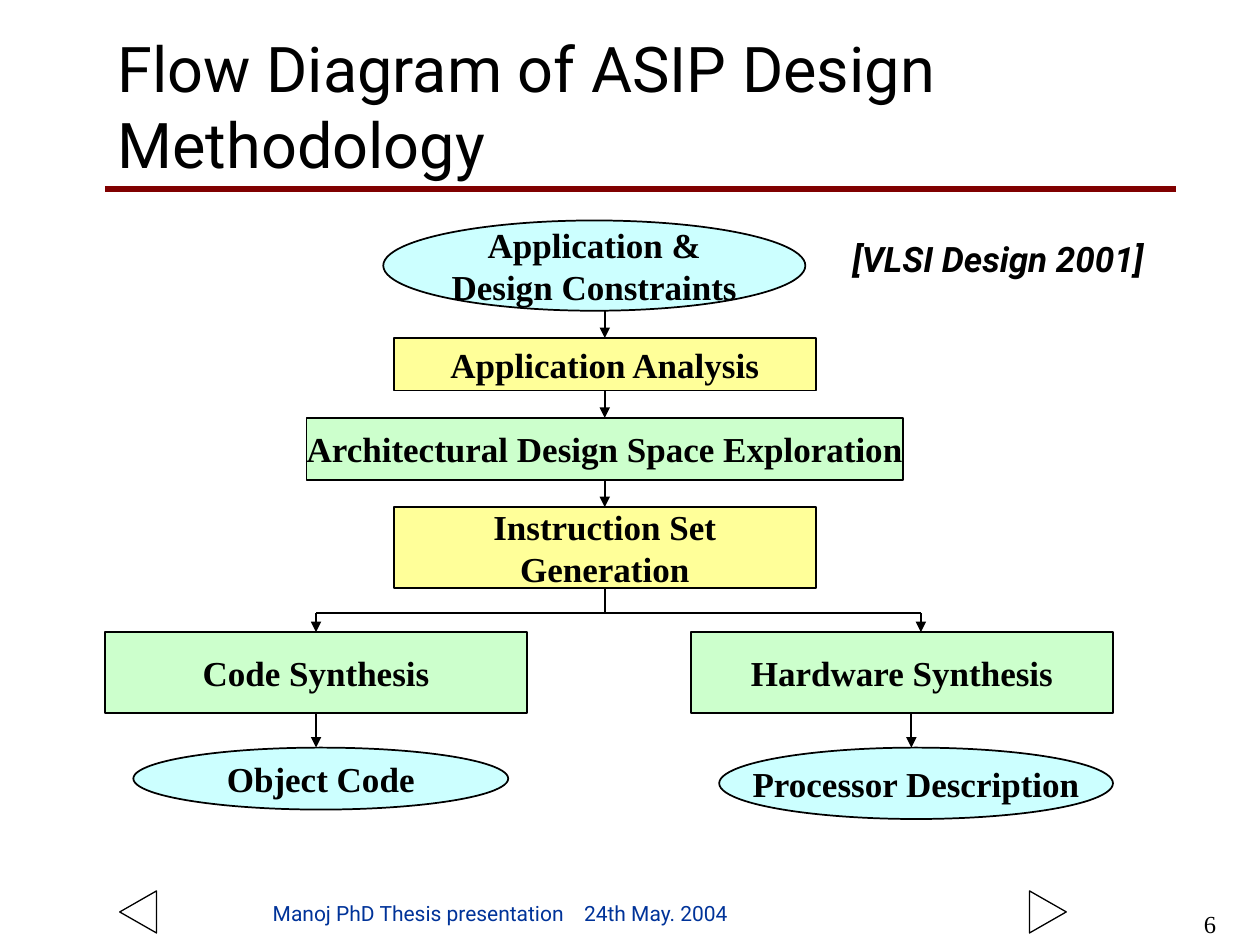
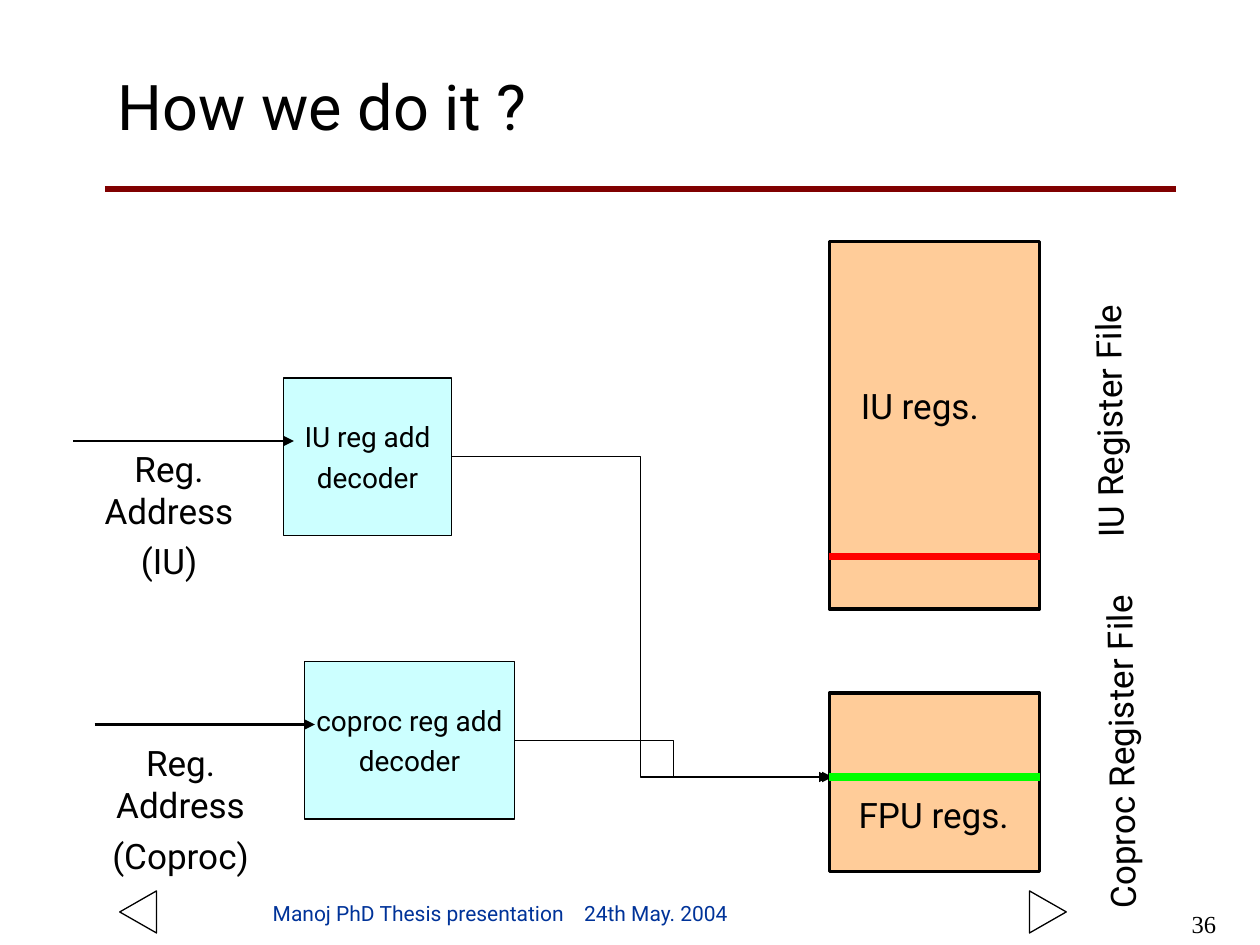
from dataclasses import dataclass
from typing import Optional

from lxml import etree
from pptx import Presentation
from pptx.dml.color import RGBColor
from pptx.enum.shapes import MSO_CONNECTOR, MSO_SHAPE
from pptx.enum.text import MSO_ANCHOR, MSO_AUTO_SIZE, PP_ALIGN
from pptx.oxml.ns import qn
from pptx.util import Inches, Length, Pt

RECT, OVAL, TRI = MSO_SHAPE.RECTANGLE, MSO_SHAPE.OVAL, MSO_SHAPE.ISOSCELES_TRIANGLE
STRAIGHT, ELBOW = MSO_CONNECTOR.STRAIGHT, MSO_CONNECTOR.ELBOW
LEFT, CENTER, RIGHT = PP_ALIGN.LEFT, PP_ALIGN.CENTER, PP_ALIGN.RIGHT
TOP, MIDDLE, BOTTOM = MSO_ANCHOR.TOP, MSO_ANCHOR.MIDDLE, MSO_ANCHOR.BOTTOM
NORTH, SOUTH, EAST = 0, 2, 3  # connection sites

SANS, SERIF = "Roboto", "Times New Roman"
BLACK, MAROON, NAVY = "000000", "800000", "003399"
AQUA, LEMON, MINT, PEACH = "CCFFFF", "FFFF99", "CCFFCC", "FFCC99"
RED, LIME = "FF0000", "00FF00"

# Slide grid: 120 columns by 90 rows of square cells
COLS, ROWS = 120, 90
WIDTH, HEIGHT = Inches(10), Inches(7.5)


@dataclass(frozen=True)
class Area:
    col: float
    row: float
    cols: float
    rows: float


@dataclass(frozen=True)
class Node:
    name: str
    text: str
    area: Area
    fill: Optional[str]
    kind: int = RECT


@dataclass(frozen=True)
class Link:
    start: tuple[float, float]
    end: tuple[float, float]
    tail: Optional[str] = None  # node joined at the start
    head: Optional[str] = None  # node joined at the end
    arrow: bool = True


@dataclass(frozen=True)
class Label:
    text: str
    area: Area
    turn: float = 0


def across(cols: float) -> Length:
    return Length(round(WIDTH * cols / COLS))


def down(rows: float) -> Length:
    return Length(round(HEIGHT * rows / ROWS))


def place(area: Area) -> tuple[Length, Length, Length, Length]:
    return across(area.col), down(area.row), across(area.cols), down(area.rows)


def color(code: str) -> RGBColor:
    return RGBColor.from_string(code)


def write(frame, text: str, *, size: float = 20, font: str = SANS, ink: str = BLACK,
          bold: bool = False, italic: bool = False, align=LEFT, anchor=TOP,
          wrap: bool = False, gap: float = 0, tab: float = 0) -> None:
    """Fill a text frame, one paragraph per line of text."""
    frame.word_wrap = wrap
    frame.auto_size = MSO_AUTO_SIZE.NONE
    frame.vertical_anchor = anchor
    for i, line in enumerate(text.split("\n")):
        para = frame.add_paragraph() if i else frame.paragraphs[0]
        para.alignment = align
        if i and gap:
            para.space_before = Pt(gap)
        if tab:
            stops = etree.SubElement(para._p.get_or_add_pPr(), qn("a:tabLst"))
            etree.SubElement(stops, qn("a:tab"), pos=str(across(tab)), algn="l")
        run = para.add_run()
        run.text = line
        face = run.font
        face.name, face.size, face.bold, face.italic = font, Pt(size), bold, italic
        face.color.rgb = color(ink)


def shape(slide, kind: int, area: Area, fill: Optional[str] = None,
          width: float = 1, turn: float = 0):
    item = slide.shapes.add_shape(kind, *place(area))
    item.shadow.inherit = False
    item.rotation = turn
    if fill:
        item.fill.solid()
        item.fill.fore_color.rgb = color(fill)
    else:
        item.fill.background()
    item.line.color.rgb = color(BLACK)
    item.line.width = Pt(width)
    return item


def line(slide, start: tuple[float, float], end: tuple[float, float], *,
         ink: str = BLACK, width: float = 1, arrow: bool = False, kind: int = STRAIGHT):
    item = slide.shapes.add_connector(
        kind, across(start[0]), down(start[1]), across(end[0]), down(end[1]))
    item.line.color.rgb = color(ink)
    item.line.width = Pt(width)
    if arrow:
        etree.SubElement(item.line._get_or_add_ln(), qn("a:tailEnd"), type="triangle")
    etree.SubElement(item._element.spPr, qn("a:effectLst"))
    return item


def label(slide, text: str, area: Area, turn: float = 0, **style) -> None:
    box = slide.shapes.add_textbox(*place(area))
    box.rotation = turn
    write(box.text_frame, text, **style)


def start_slide(deck, title: str, number: int):
    """Add a slide with title, rule, page arrows and footer."""
    slide = deck.slides.add_slide(deck.slide_layouts[5])
    line(slide, (10, 18), (112, 18), ink=MAROON, width=3)
    for col, turn in ((11.15, 270), (97.8, 90)):
        shape(slide, TRI, Area(col, 85.1, 4, 3.5), width=0.75, turn=turn)
    head = slide.shapes.title
    head.left, head.top, head.width, head.height = place(Area(10, 4, 93, 12))
    write(head.text_frame, title, size=36, anchor=MIDDLE, wrap=True)
    label(slide, "Manoj PhD Thesis presentation\t24th May. 2004",
          Area(24.8, 84.8, 67, 4), size=12, ink=NAVY, anchor=BOTTOM, wrap=True, tab=29.65)
    label(slide, str(number), Area(109, 86, 8, 4), size=14, font=SERIF,
          align=RIGHT, wrap=True)
    return slide


# Flow diagram
AXIS, CODE, HARD = 57.6, 30.1, 87.7  # columns of the vertical links
FORK = 58.4  # row where the flow splits
STEPS = (
    Node("goal", "Application &\nDesign Constraints", Area(36.5, 21, 40.2, 8.6), AQUA, OVAL),
    Node("study", "Application Analysis", Area(37.5, 32.2, 40.2, 5), LEMON),
    Node("space", "Architectural Design Space Exploration",
         Area(29.2, 39.8, 56.8, 5.9), MINT),
    Node("set", "Instruction Set\nGeneration", Area(37.5, 48.3, 40.2, 7.7), LEMON),
    Node("code", "Code Synthesis", Area(10, 60.2, 40.2, 7.7), MINT),
    Node("hard", "Hardware Synthesis", Area(65.8, 60.2, 40.2, 7.7), MINT),
    Node("object", "Object Code", Area(12.7, 71.2, 35.7, 5.9), AQUA, OVAL),
    Node("chip", "Processor Description", Area(68.5, 71.2, 37.5, 6.8), AQUA, OVAL),
)
LINKS = (
    Link((AXIS, 29.6), (AXIS, 32.2), head="study"),
    Link((AXIS, 37.2), (AXIS, 39.8), "study", "space"),
    Link((AXIS, 45.7), (AXIS, 48.3), "space", "set"),
    Link((AXIS, 56), (AXIS, FORK), "set", arrow=False),
    Link((CODE, FORK), (HARD, FORK), arrow=False),
    Link((CODE, FORK), (CODE, 60.2), head="code"),
    Link((HARD, FORK), (HARD, 60.2)),
    Link((CODE, 67.9), (CODE, 71.2), "code"),
    Link((86.8, 67.9), (86.8, 71.2)),
)


def draw_flow(deck) -> None:
    slide = start_slide(deck, "Flow Diagram of ASIP Design Methodology", 6)
    made = {}
    for node in STEPS:
        item = made[node.name] = shape(slide, node.kind, node.area, node.fill)
        write(item.text_frame, node.text, font=SERIF, bold=True, align=CENTER, anchor=MIDDLE)
    for link in LINKS:
        item = line(slide, link.start, link.end, arrow=link.arrow)
        if link.tail:
            item.begin_connect(made[link.tail], SOUTH)
        if link.head:
            item.end_connect(made[link.head], NORTH)
    label(slide, "[VLSI Design 2001]", Area(80, 22, 31, 5.25), bold=True, italic=True)


# Register files
FILES = (Area(79, 23, 20, 35), Area(79, 66, 20, 17))
MARKS = ((53, RED), (74, LIME))  # row and colour of the marked registers
UNITS = (
    Node("iu", "IU reg add\ndecoder", Area(27, 36, 16, 15), AQUA),
    Node("coproc", "coproc reg add\ndecoder", Area(29, 63, 20, 15), AQUA),
)
ENDS = {"iu": (79, 74), "coproc": (79.3, 74)}
INPUTS = (
    Label("Reg. Address\n(IU)", Area(7.1, 42, 18, 14)),
    Label("Reg. Address\n(Coproc)", Area(8.2, 70, 18, 14)),
)
NAMES = (
    Label("IU regs.", Area(80.8, 36, 14.6, 5.25)),
    Label("FPU regs.", Area(80.6, 75, 17.3, 5.25)),
    Label("IU Register File", Area(92.6, 36.8, 26, 5.25), 269.3),
    Label("Coproc Register File", Area(89.9, 68.3, 33.6, 5.25), 269.3),
)


def draw_files(deck) -> None:
    slide = start_slide(deck, "How we do it ?", 36)
    for area in FILES:
        shape(slide, RECT, area, PEACH, width=2)
    for unit in UNITS:
        area = unit.area
        item = shape(slide, unit.kind, area, unit.fill, width=0.75)
        write(item.text_frame, unit.text, size=16, align=CENTER, anchor=MIDDLE, gap=4)
        feed = area.row + 6
        line(slide, (area.col - 20, feed), (area.col + 1, feed), width=1.5, arrow=True)
        out = (area.col + area.cols, area.row + area.rows / 2)
        wire = line(slide, out, ENDS[unit.name], width=0.75, arrow=True, kind=ELBOW)
        wire.begin_connect(item, EAST)
    for row, ink in MARKS:
        line(slide, (79, row), (99, row), ink=ink, width=4.5)
    for note in INPUTS:
        label(slide, note.text, note.area, align=CENTER, wrap=True, gap=5)
    for note in NAMES:
        label(slide, note.text, note.area, note.turn)


def main() -> None:
    deck = Presentation()
    deck.slide_width, deck.slide_height = WIDTH, HEIGHT
    draw_flow(deck)
    draw_files(deck)
    deck.save("out.pptx")


if __name__ == "__main__":
    main()
